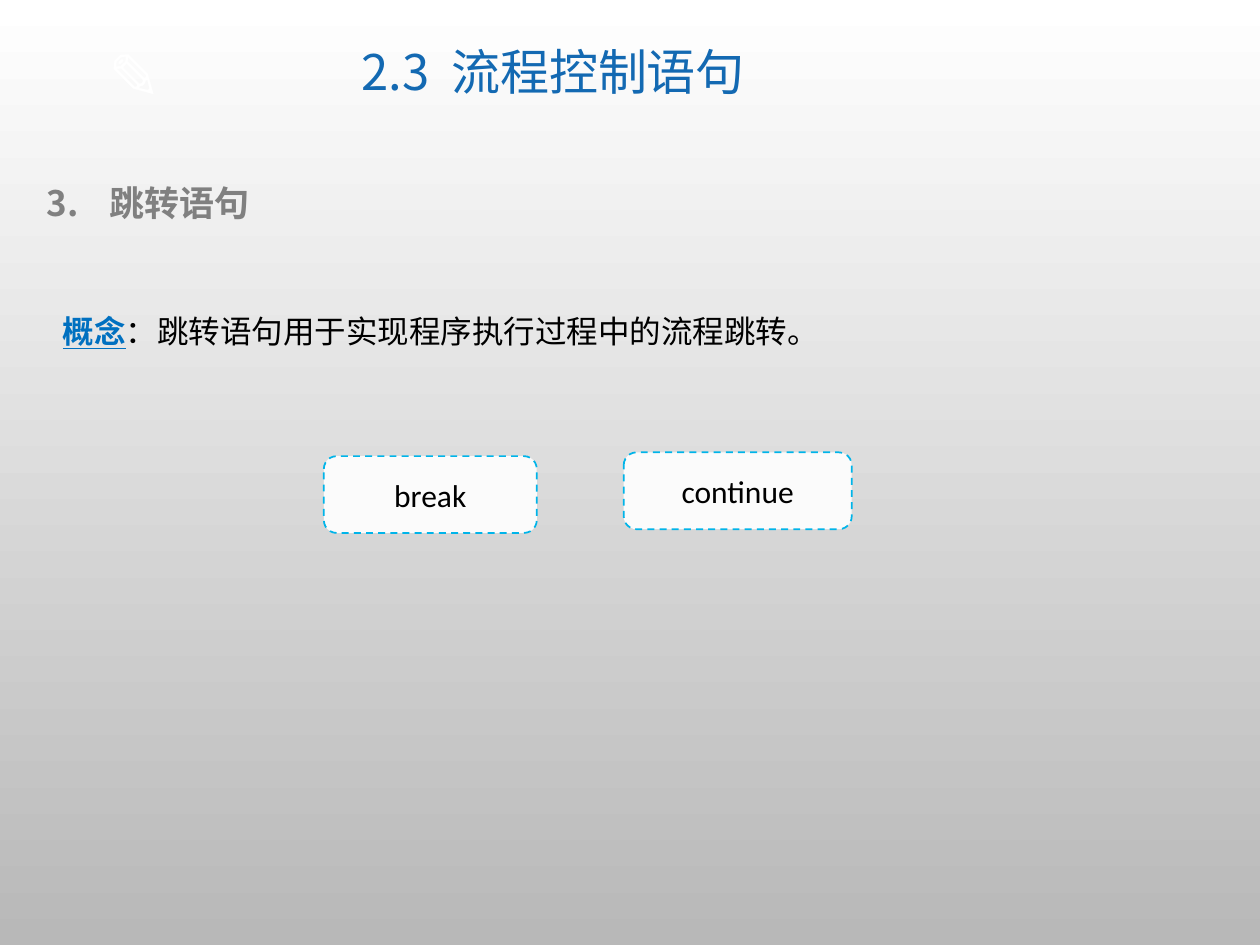
from collections import namedtuple

from lxml.etree import SubElement
from pptx import Presentation
from pptx.dml.color import RGBColor
from pptx.enum.dml import MSO_LINE_DASH_STYLE as Dash
from pptx.enum.shapes import MSO_SHAPE as Shape
from pptx.enum.text import MSO_ANCHOR as Anchor, MSO_AUTO_SIZE as AutoSize, PP_ALIGN as Align
from pptx.oxml.ns import qn
from pptx.util import Inches, Pt

WIDTH, HEIGHT = Inches(10), Inches(7.5)
COLUMN, ROW = WIDTH / 100, HEIGHT / 100
CJK = "Noto Sans CJK SC"
Box = namedtuple("Box", "left top width height")


def color(value):
    return RGBColor.from_string(value)


def place(box):
    return (round(box.left * COLUMN), round(box.top * ROW),
            round(box.width * COLUMN), round(box.height * ROW))


def style(run, size, ink, font=CJK, bold=False, underline=False):
    run.font.size = Pt(size)
    run.font.name = font
    run.font.bold = bold
    run.font.underline = underline
    run.font.color.rgb = color(ink)
    SubElement(run._r.get_or_add_rPr(), qn("a:ea"), typeface=CJK)


def add_text(slide, box, wrap=True, grow=True):
    frame = slide.shapes.add_textbox(*place(box)).text_frame
    frame.word_wrap = wrap
    frame.auto_size = AutoSize.SHAPE_TO_FIT_TEXT if grow else AutoSize.NONE
    return frame


def add_run(paragraph, text, *args, **kwargs):
    run = paragraph.add_run()
    run.text = text
    style(run, *args, **kwargs)
    return run


def paint_background(slide):
    fill = slide.background.fill
    fill.gradient()
    fill.gradient_angle = 270
    for stop, position, shade in zip(fill.gradient_stops, (0, 1), ("FFFFFF", "B8B8B8")):
        stop.position = position
        stop.color.rgb = color(shade)


def add_pencil(slide, box):
    pencil = add_text(slide, box, wrap=False).paragraphs[0]
    add_run(pencil, "✎", 36, "FFFFFF", bold=True)


def add_title(slide, box):
    frame = add_text(slide, box, grow=False)
    frame.vertical_anchor = Anchor.MIDDLE
    title = frame.paragraphs[0]
    title.alignment = Align.CENTER
    title.line_spacing = 0.9
    number, gap, topic = [add_run(title, part, 28, "1369B2")
                          for part in ("2.3", " ", "流程控制语句")]
    gap._r.get_or_add_rPr().set("spc", "630")


def add_heading(slide, box):
    heading = add_text(slide, box).paragraphs[0]
    properties = heading._p.get_or_add_pPr()
    properties.set("marL", str(Inches(0.5)))
    properties.set("indent", str(-Inches(0.5)))
    SubElement(properties, qn("a:buFont"), typeface=CJK)
    SubElement(properties, qn("a:buAutoNum"), type="arabicPeriod", startAt="3")
    add_run(heading, "跳转语句", 20, "808080", bold=True)


def add_concept(slide, box):
    concept = add_text(slide, box).paragraphs[0]
    concept.line_spacing = 2.0
    add_run(concept, "概念", 18, "0070C0", "Arial", bold=True, underline=True)
    add_run(concept, "：跳转语句用于实现程序执行过程中的流程跳转。", 18, "000000", "Arial")


def add_keyword(slide, box, keyword):
    card = slide.shapes.add_shape(Shape.ROUNDED_RECTANGLE, *place(box))
    card.shadow.inherit = False
    card.fill.solid()
    card.fill.fore_color.rgb = color("FBFBFB")
    card.line.color.rgb = color("00B4E9")
    card.line.width = Pt(1)
    card.line.dash_style = Dash.DASH
    card.text_frame.vertical_anchor = Anchor.MIDDLE
    label = card.text_frame.paragraphs[0]
    label.alignment = Align.CENTER
    add_run(label, keyword, 18, "000000", "Calibri")


def main():
    deck = Presentation()
    deck.slide_width, deck.slide_height = WIDTH, HEIGHT
    slide = deck.slides.add_slide(deck.slide_layouts[6])
    paint_background(slide)
    add_pencil(slide, Box(7.6, 3.2, 8.6, 9.47))
    add_title(slide, Box(18.1, 2.27, 51.6, 11.33))
    add_heading(slide, Box(2.7, 18.53, 92.2, 5.87))
    add_concept(slide, Box(4, 28.4, 91.9, 8.13))
    add_keyword(slide, Box(25.7, 48.27, 16.9, 8.13), "break")
    add_keyword(slide, Box(49.5, 47.87, 18.1, 8.13), "continue")
    deck.save("out.pptx")


if __name__ == "__main__":
    main()
